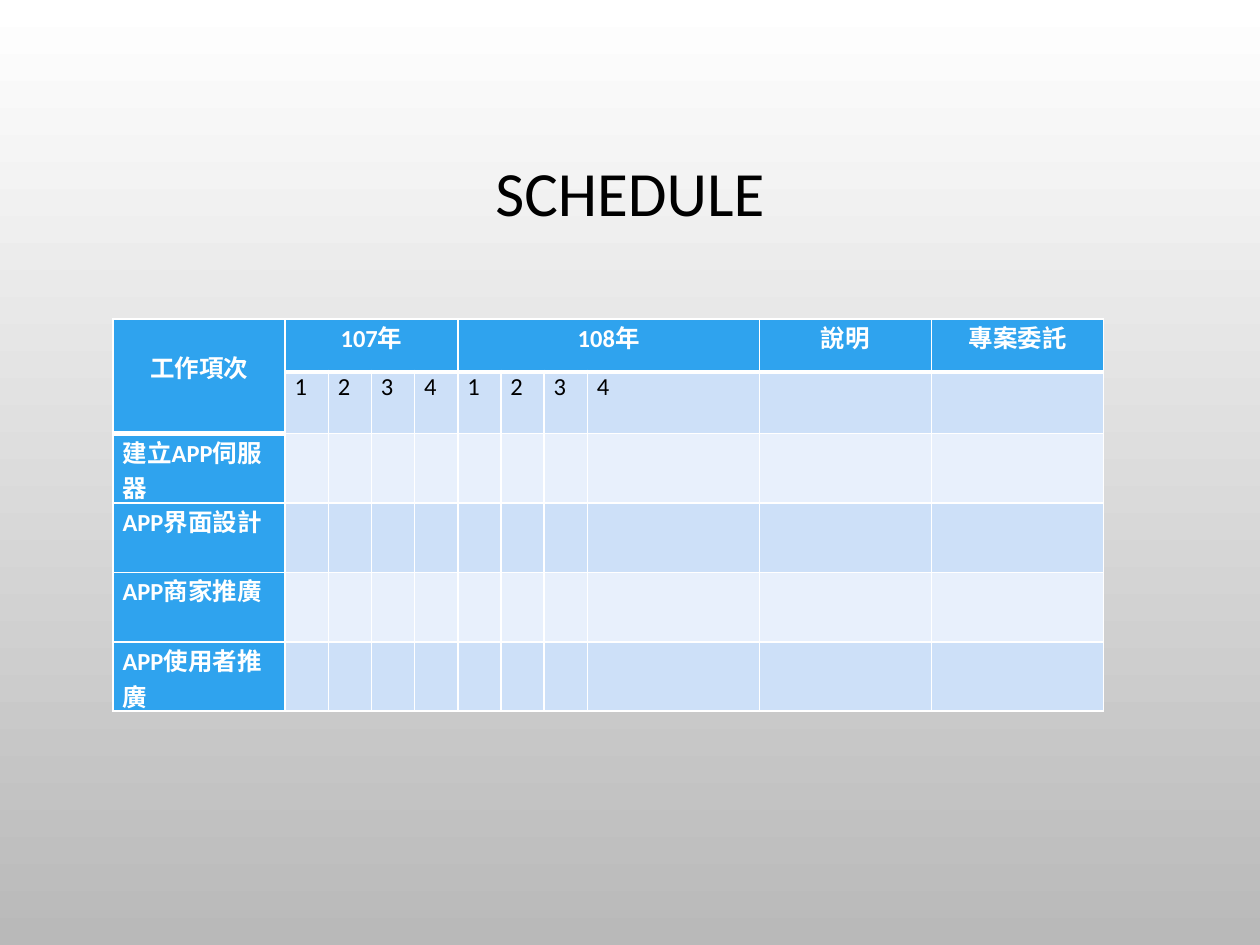
from lxml import etree
from pptx import Presentation
from pptx.dml.color import RGBColor
from pptx.enum.text import MSO_ANCHOR, PP_ALIGN
from pptx.oxml.ns import qn
from pptx.util import Cm, Pt

CENTER = PP_ALIGN.CENTER
LEFT = PP_ALIGN.LEFT
MIDDLE = MSO_ANCHOR.MIDDLE

FONT = "Calibri"
WHITE, BLACK, GREY = "FFFFFF", "000000", "B9B9B9"
BLUE, BANDS = "2FA3EE", ("E8F0FC", "CDE0F8")

WIDE, NARROW = 3.47, 0.87
COLUMN_WIDTHS = [WIDE] + [NARROW] * 7 + [WIDE] * 3
ROW_HEIGHTS = [1.07, 1.24] + [1.4] * 4
MERGES = [((0, 0), (1, 0)), ((0, 1), (0, 4)), ((0, 5), (0, 8))]
HEADINGS = {0: "工作項次", 1: "107年", 5: "108年", 9: "說明", 10: "專案委託"}
QUARTERS = [str(quarter) for quarter in (1, 2, 3, 4)] * 2
TASKS = ["建立APP伺服器", "APP界面設計", "APP商家推廣", "APP使用者推廣"]


def color(value):
    """Turn a hex string into a colour."""
    return RGBColor.from_string(value)


def style_paragraph(paragraph, size, value, bold=False, alignment=LEFT):
    """Set the font and alignment of a paragraph."""
    paragraph.alignment = alignment
    font = paragraph.font
    font.name, font.size, font.bold = FONT, Pt(size), bold
    font.color.rgb = color(value)


def fill_background(slide):
    """Shade the slide from white at the top to grey at the bottom."""
    fill = slide.background.fill
    fill.gradient()
    fill.gradient_angle = 270
    for stop, value in zip(fill.gradient_stops, (WHITE, GREY)):
        stop.color.rgb = color(value)


def add_title(slide, left, top, width, height):
    """Place the centred slide title."""
    shape = slide.shapes.add_textbox(Cm(left), Cm(top), Cm(width), Cm(height))
    frame = shape.text_frame
    frame.word_wrap = True
    frame.vertical_anchor = MIDDLE
    paragraph = frame.paragraphs[0]
    paragraph.text = "SCHEDULE"
    paragraph.line_spacing = 0.9
    style_paragraph(paragraph, 36, BLACK, alignment=CENTER)


def add_borders(cell, top, bottom):
    """Draw white cell borders with the given top and bottom widths."""
    properties = cell._tc.get_or_add_tcPr()
    for side, width in (("L", 1), ("R", 1), ("T", top), ("B", bottom)):
        line = etree.SubElement(properties, qn(f"a:ln{side}"), w=str(Pt(width)))
        solid = etree.SubElement(line, qn("a:solidFill"))
        etree.SubElement(solid, qn("a:srgbClr"), val=WHITE)


def is_heading(row, column):
    """Tell whether a cell belongs to the table heading."""
    return row == 0 or (row == 1 and column == 0)


def cell_text(row, column):
    """Return the wording of a cell."""
    if row == 0:
        return HEADINGS.get(column, "")
    if row == 1:
        return QUARTERS[column - 1] if 1 <= column <= len(QUARTERS) else ""
    return TASKS[row - 2] if column == 0 else ""


def format_cell(cell, row, column):
    """Write and style one cell of the schedule."""
    heading = is_heading(row, column)
    accent = heading or column == 0
    add_borders(cell,
                top=3 if row and not heading and is_heading(row - 1, column) else 1,
                bottom=3 if heading else 1)
    cell.fill.solid()
    cell.fill.fore_color.rgb = color(BLUE if accent else BANDS[row % 2])
    cell.margin_left = cell.margin_right = Cm(0.19)
    cell.margin_top = cell.margin_bottom = 0
    paragraph = cell.text_frame.paragraphs[0]
    paragraph.text = cell_text(row, column)
    style_paragraph(paragraph, 14, WHITE if accent else BLACK, accent,
                    CENTER if heading else LEFT)


def add_schedule(slide, left, top):
    """Place the schedule table with its merged headings."""
    frame = slide.shapes.add_table(
        len(ROW_HEIGHTS), len(COLUMN_WIDTHS), Cm(left), Cm(top),
        Cm(sum(COLUMN_WIDTHS)), Cm(sum(ROW_HEIGHTS)))
    table = frame.table
    for column, width in zip(table.columns, COLUMN_WIDTHS):
        column.width = Cm(width)
    for row, height in zip(table.rows, ROW_HEIGHTS):
        row.height = Cm(height)
    for row in range(len(ROW_HEIGHTS)):
        for column in range(len(COLUMN_WIDTHS)):
            format_cell(table.cell(row, column), row, column)
    for first, last in MERGES:
        table.cell(*first).merge(table.cell(*last))
    table.cell(0, 0).margin_top = Cm(0.6)


def main():
    """Build and save the schedule slide."""
    presentation = Presentation()
    presentation.slide_width, presentation.slide_height = Cm(25.4), Cm(19.05)
    slide = presentation.slides.add_slide(presentation.slide_layouts[6])
    fill_background(slide)
    add_title(slide, 1.9, 1.73, 21.6, 4.44)
    add_schedule(slide, 2.28, 6.43)
    presentation.save("out.pptx")


if __name__ == "__main__":
    main()
